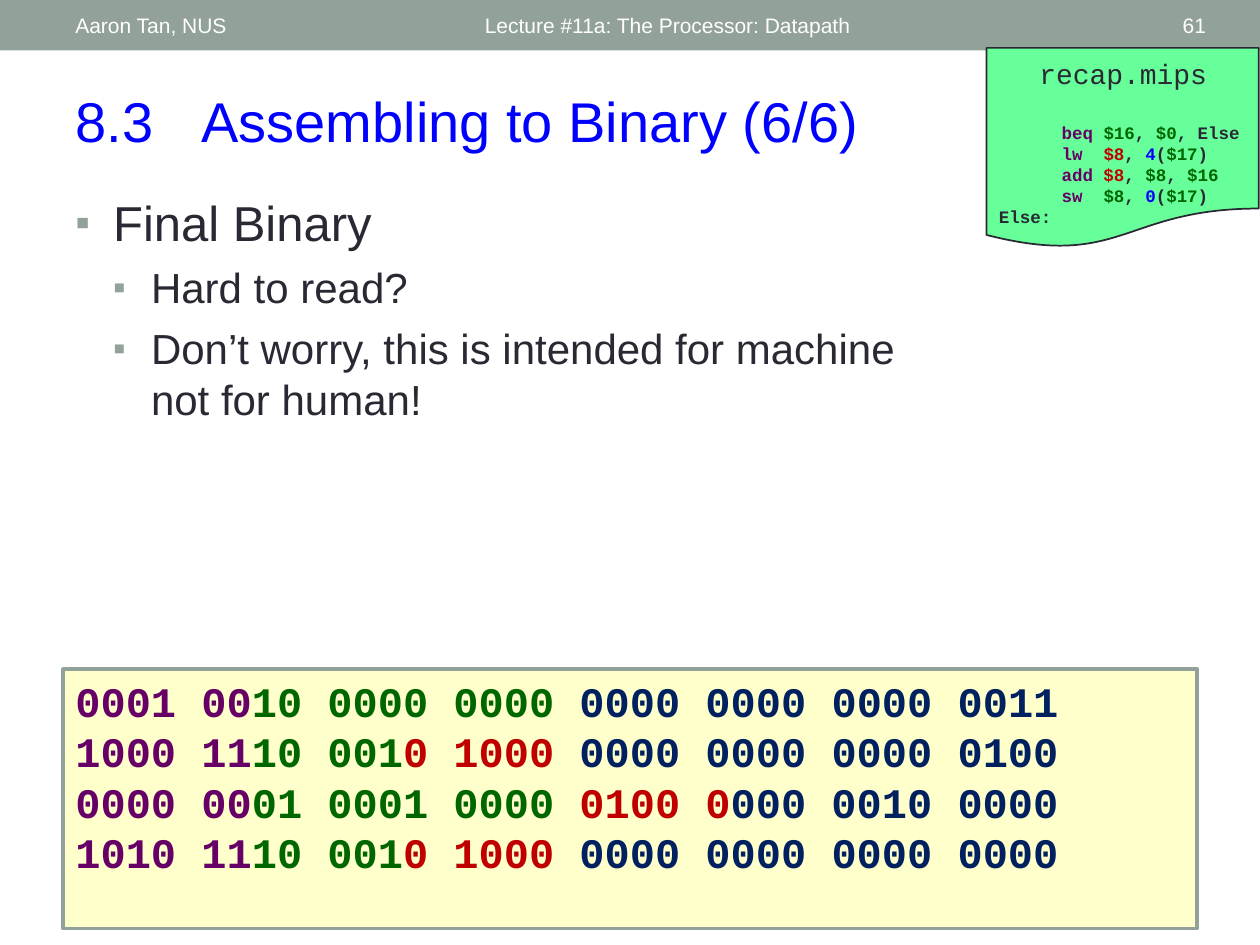
"""Build the slide on the final binary of an assembled program."""
from dataclasses import dataclass

from lxml.etree import SubElement
from pptx import Presentation
from pptx.dml.color import RGBColor as Rgb
from pptx.enum.shapes import MSO_SHAPE as Form
from pptx.enum.text import MSO_ANCHOR as Anchor, PP_ALIGN as Align
from pptx.oxml.ns import qn
from pptx.shapes.base import BaseShape
from pptx.slide import Slide
from pptx.util import Inches, Pt


@dataclass(frozen=True)
class Theme:
    sans: str = "Arial"
    mono: str = "Courier New"
    bar: str = "93A299"
    white: str = "FFFFFF"
    ink: str = "292934"
    title: str = "0000FF"
    op: str = "660066"
    src: str = "006600"
    dest: str = "C00000"
    imm: str = "002060"
    note: str = "66FF99"
    cream: str = "FFFFCC"
    small: int = 12
    head: int = 32
    main: int = 28
    sub: int = 24
    label: int = 16
    code: int = 10


T = Theme()


@dataclass(frozen=True)
class Bit:
    text: str
    color: str = T.ink


@dataclass(frozen=True)
class Para:
    bits: list[Bit]
    size: int
    font: str = T.sans
    bold: bool = False
    align: Align = Align.LEFT
    before: int = 0
    level: int = 0


@dataclass(frozen=True)
class Box:
    left: float
    top: float
    width: float
    height: float
    paras: list[Para]
    anchor: Anchor = Anchor.TOP


@dataclass(frozen=True)
class Panel:
    form: Form
    left: float
    top: float
    width: float
    height: float
    fill: str
    line: str = ""
    weight: float = 1


def set_dot(para, level: int) -> None:
    """Give a paragraph a square bullet and a hanging indent."""
    props = para._p.get_or_add_pPr()
    props.set("marL", str(Inches(0.3 * level)))
    props.set("indent", str(Inches(-0.3)))
    color = SubElement(props, qn("a:buClr"))
    SubElement(color, qn("a:srgbClr"), val=T.bar)
    SubElement(props, qn("a:buSzPct"), val="85000")
    SubElement(props, qn("a:buFont"), typeface=T.sans)
    SubElement(props, qn("a:buChar"), char="▪")
    para.level = level - 1


def write(shape: BaseShape, paras: list[Para], anchor: Anchor = Anchor.TOP) -> None:
    """Fill a shape with paragraphs, run by run."""
    frame = shape.text_frame
    frame.word_wrap = True
    frame.vertical_anchor = anchor
    for i, item in enumerate(paras):
        para = frame.add_paragraph() if i else frame.paragraphs[0]
        if item.level:
            set_dot(para, item.level)
        para.alignment = item.align
        para.space_before = Pt(item.before)
        para.font.size = Pt(item.size)
        for bit in item.bits:
            for j, text in enumerate(bit.text.split("\n")):
                if j:
                    para.add_line_break()
                if text:
                    run = para.add_run()
                    run.text = text
                    run.font.name = item.font
                    run.font.size = Pt(item.size)
                    run.font.bold = item.bold
                    run.font.color.rgb = Rgb.from_string(bit.color)


def add_box(slide: Slide, box: Box) -> None:
    """Add a text box."""
    place = map(Inches, (box.left, box.top, box.width, box.height))
    write(slide.shapes.add_textbox(*place), box.paras, box.anchor)


def add_panel(slide: Slide, panel: Panel) -> BaseShape:
    """Add a filled shape with an optional outline."""
    place = map(Inches, (panel.left, panel.top, panel.width, panel.height))
    shape = slide.shapes.add_shape(panel.form, *place)
    shape.shadow.inherit = False
    shape.fill.solid()
    shape.fill.fore_color.rgb = Rgb.from_string(panel.fill)
    if panel.line:
        shape.line.color.rgb = Rgb.from_string(panel.line)
        shape.line.width = Pt(panel.weight)
    else:
        shape.line.fill.background()
    return shape


def bar_box(left: float, width: float, text: str, align: Align = Align.LEFT) -> Box:
    """Describe a label in the top bar."""
    para = Para([Bit(text, T.white)], T.small, align=align)
    return Box(left, 0.02, width, 0.36, [para], Anchor.MIDDLE)


def code(*bits: Bit, size: int = T.code, before: int = 0) -> Para:
    """Describe a paragraph of bold code."""
    return Para(list(bits), size, T.mono, True, before=before)


def main() -> None:
    """Draw the slide and save it."""
    deck = Presentation()
    deck.slide_width, deck.slide_height = Inches(10), Inches(7.5)
    slide = deck.slides.add_slide(deck.slide_layouts[6])

    add_panel(slide, Panel(Form.RECTANGLE, 0, 0, 10, 0.4, T.bar))
    title = Para([Bit("8.3\tAssembling to Binary (6/6)", T.title)], T.head)
    points = [
        Para([Bit("Final Binary")], T.main, level=1),
        Para([Bit("Hard to read?")], T.sub, before=6, level=2),
        Para([Bit("Don’t worry, this is intended for machine\nnot for human!")],
             T.sub, before=6, level=2),
    ]
    for box in (
        bar_box(3.75, 4.5, "Lecture #11a: The Processor: Datapath"),
        bar_box(0.5, 3.17, "Aaron Tan, NUS"),
        bar_box(8.72, 0.95, "61", Align.RIGHT),
        Box(0.5, 0.64, 9, 0.64, [title]),
        Box(0.5, 1.48, 8.89, 5.56, points),
    ):
        add_box(slide, box)

    comma, base = Bit(", "), Bit("$17", T.src)
    dest, temp = Bit("$8", T.dest), Bit("$8", T.src)
    recap = [
        Para([Bit("recap.mips")], T.label, T.mono, align=Align.CENTER),
        code(Bit("      beq ", T.op), Bit("$16", T.src), comma,
             Bit("$0", T.src), Bit(", Else"), before=18),
        code(Bit("      lw  ", T.op), dest, comma, Bit("4", T.title),
             Bit("("), base, Bit(")\n      "), Bit("add ", T.op), dest,
             comma, temp, comma, Bit("$16", T.src)),
        code(Bit("      sw  ", T.op), temp, comma, Bit("0", T.title),
             Bit("("), base, Bit(")")),
        code(Bit("Else:")),
    ]
    add_panel(slide, Panel(Form.FLOWCHART_DOCUMENT, 7.83, 0.38, 2.16, 1.59, T.note, T.ink))
    add_box(slide, Box(7.83, 0.4, 2.17, 1.48, recap))

    rs, rt = Bit("10 001", T.src), Bit("0 1000", T.dest)
    binary = [
        code(Bit("0001 00", T.op), Bit("10 0000 0000 ", T.src),
             Bit("0000 0000 0000 0011", T.imm), size=T.sub),
        code(Bit("1000 11", T.op), rs, rt, Bit(" 0000 0000 0000 0100\n", T.imm),
             Bit("0000 00", T.op), Bit("01 0001 0000 ", T.src),
             Bit("0100 0", T.dest), Bit("000 0010 0000", T.imm), size=T.sub),
        code(Bit("1010 11", T.op), rs, rt, Bit(" 0000 0000 0000 0000", T.imm), size=T.sub),
    ]
    frame = Panel(Form.RECTANGLE, 0.5, 5.31, 9, 2.06, T.cream, T.bar, 2.08)
    write(add_panel(slide, frame), binary)
    deck.save("out.pptx")


if __name__ == "__main__":
    main()
